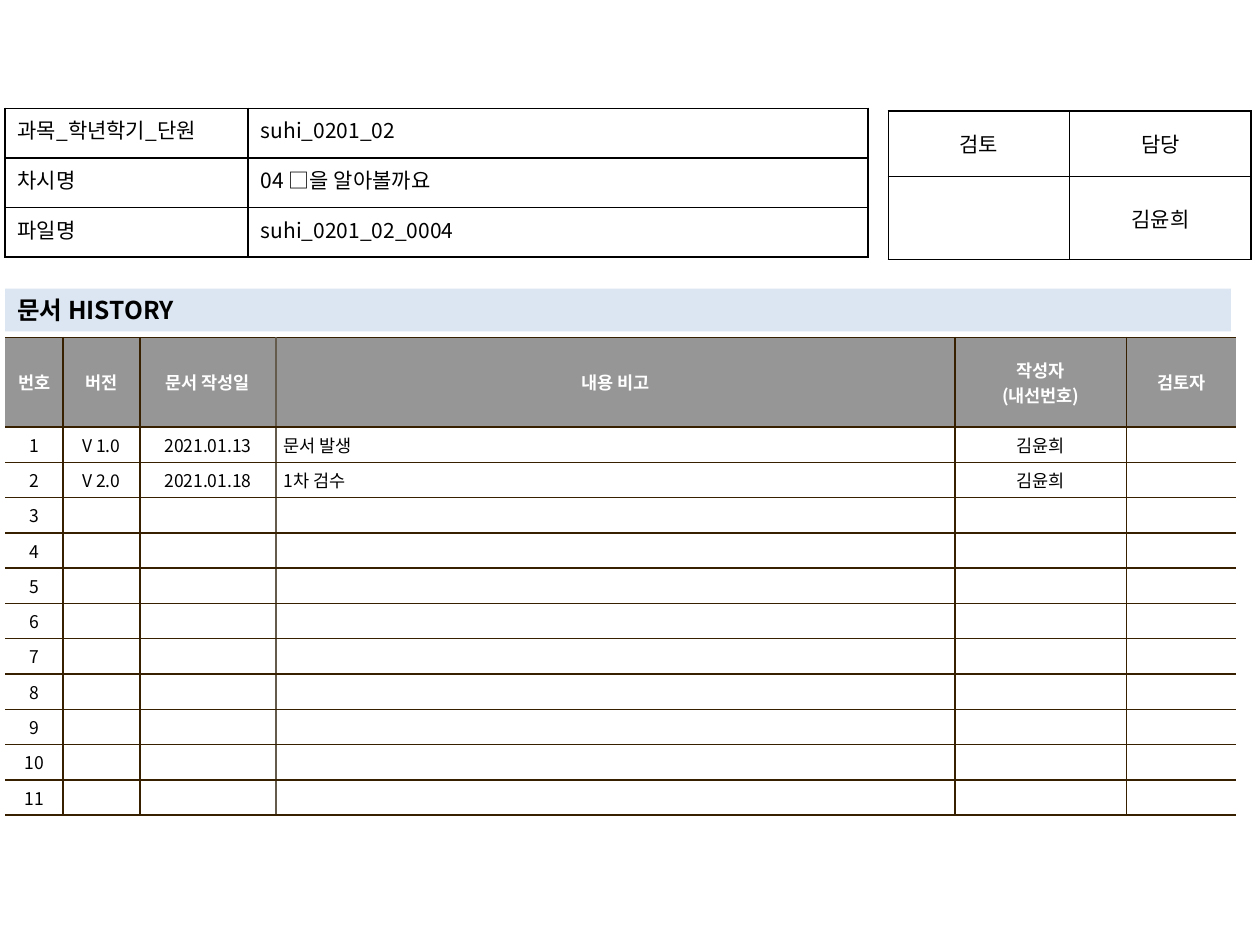
from dataclasses import dataclass

from lxml.etree import SubElement
from pptx import Presentation
from pptx.dml.color import RGBColor as Rgb
from pptx.enum.shapes import MSO_SHAPE as Shape
from pptx.enum.text import MSO_ANCHOR as Anchor, PP_ALIGN as Align
from pptx.oxml.ns import qn
from pptx.util import Inches, Pt


@dataclass(frozen=True)
class Theme:
    font: str = "Noto Sans CJK KR"
    black: str = "000000"
    white: str = "FFFFFF"
    head: str = "969696"
    band: str = "DCE6F2"
    rule: str = "362000"
    soft: str = "645B4C"
    small: int = 10
    body: int = 12
    title: int = 14


class Page:
    """Draws on one slide; lengths are steps of a 100 by 75 grid."""

    def __init__(self, deck, theme):
        self.theme = theme
        self.slide = deck.slides.add_slide(deck.slide_layouts[6])
        self.step = deck.slide_width / 100

    def span(self, *sizes):
        return [round(size * self.step) for size in sizes]

    def label(self, frame, text, size, color, bold=False, align=Align.LEFT):
        for index, line in enumerate(text.split("\n")):
            para = frame.add_paragraph() if index else frame.paragraphs[0]
            para.alignment = align
            if not line:
                SubElement(para._p, qn("a:endParaRPr"), sz=str(size * 100))
                continue
            run = para.add_run()
            run.text = line
            font = run.font
            font.name, font.size, font.bold = self.theme.font, Pt(size), bold
            font.color.rgb = Rgb.from_string(color)
            SubElement(font._element, qn("a:ea"), typeface=self.theme.font)

    def edge(self, cell, colors):
        """Set left, right, top and bottom borders; None leaves a side open."""
        props = cell._tc.get_or_add_tcPr()
        for side, color in zip("LRTB", colors):
            line = SubElement(props, qn(f"a:ln{side}"), w=str(Pt(1)))
            if color:
                fill = SubElement(line, qn("a:solidFill"))
                SubElement(fill, qn("a:srgbClr"), val=color)
            else:
                SubElement(line, qn("a:noFill"))

    def table(self, left, top, cols, rows, data, style):
        """Style maps row and column to (edges, fill, pad, anchor, text style)."""
        box = self.span(left, top, sum(cols), sum(rows))
        grid = self.slide.shapes.add_table(len(rows), len(cols), *box).table
        grid.first_row = grid.horz_banding = False
        for col, width in zip(grid.columns, self.span(*cols)):
            col.width = width
        for row, height in zip(grid.rows, self.span(*rows)):
            row.height = height
        for r, line in enumerate(data):
            for c, text in enumerate(line):
                cell = grid.cell(r, c)
                edges, fill, pad, anchor, look = style(r, c)
                self.edge(cell, edges)
                if fill:
                    cell.fill.solid()
                    cell.fill.fore_color.rgb = Rgb.from_string(fill)
                else:
                    cell.fill.background()
                cell.margin_left, cell.margin_top = self.span(*pad)
                cell.margin_right, cell.margin_bottom = self.span(*pad)
                cell.vertical_anchor = anchor
                self.label(cell.text_frame, text, **look)

    def band(self, left, top, width, height, text):
        box = self.span(left, top, width, height)
        shape = self.slide.shapes.add_shape(Shape.RECTANGLE, *box)
        shape.shadow.inherit = False
        shape.fill.solid()
        shape.fill.fore_color.rgb = Rgb.from_string(self.theme.band)
        shape.line.fill.background()
        frame = shape.text_frame
        frame.word_wrap = True
        frame.vertical_anchor = Anchor.MIDDLE
        self.label(frame, text, self.theme.title, self.theme.black, bold=True)


def main():
    deck = Presentation()
    deck.slide_width, deck.slide_height = Inches(10), Inches(7.5)
    theme = Theme()
    page = Page(deck, theme)

    def log_style(r, c):
        ends = [None, theme.rule, theme.rule, theme.soft, theme.rule, theme.rule, None]
        edges = (ends[c], ends[c + 1], theme.rule, theme.rule)
        head = r == 0
        look = dict(
            size=theme.small,
            color=theme.white if head else theme.black,
            bold=head,
            align=Align.LEFT if c == 3 and not head else Align.CENTER,
        )
        fill = theme.head if head else theme.white
        return edges, fill, (0.6, 0.4), Anchor.MIDDLE, look

    def box_style(anchor, *aligns):
        def style(r, c):
            look = dict(size=theme.body, color=theme.black, align=aligns[c])
            return [theme.black] * 4, None, (1, 0.5), anchor, look
        return style

    heads = ["번호", "버전", "문서 작성일", "내용 비고", "작성자\n(내선번호)", "검토자"]
    notes = [
        ["V 1.0", "2021.01.13", "문서 발생", "김윤희", ""],
        ["V 2.0", "2021.01.18", "1차 검수", "김윤희", ""],
    ]
    notes += [[""] * 5] * 9
    log = [heads] + [[str(n), *note] for n, note in enumerate(notes, 1)]
    widths = [4.6, 6.1, 10.8, 53.9, 13.6, 8.7]
    page.table(0.4, 26.8, widths, [7.1] + [2.8] * 11, log, log_style)

    sign = [["검토", "담당"], ["", "김윤희"]]
    middle = box_style(Anchor.MIDDLE, Align.CENTER, Align.CENTER)
    page.table(70.5, 8.8, [14.4] * 2, [5.2, 6.6], sign, middle)

    page.band(0.4, 22.9, 97.3, 3.4, "문서 HISTORY")

    info = [
        ["과목_학년학기_단원", "suhi_0201_02"],
        ["차시명", "04 □을 알아볼까요"],
        ["파일명", "suhi_0201_02_0004"],
    ]
    upper = box_style(Anchor.TOP, Align.JUSTIFY, Align.LEFT)
    page.table(0.4, 8.6, [19.3, 49.2], [3.94] * 3, info, upper)

    deck.save("out.pptx")


if __name__ == "__main__":
    main()
